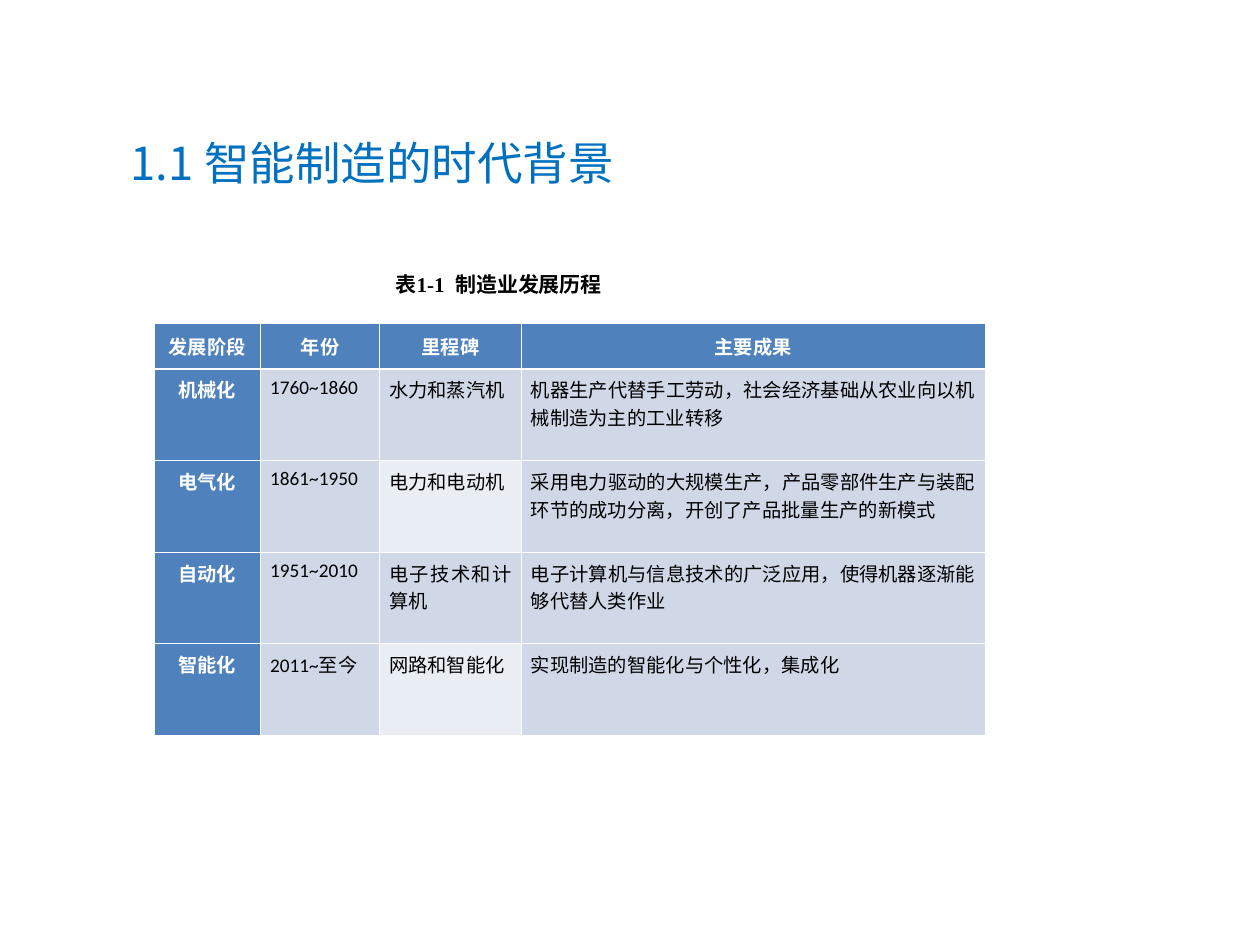
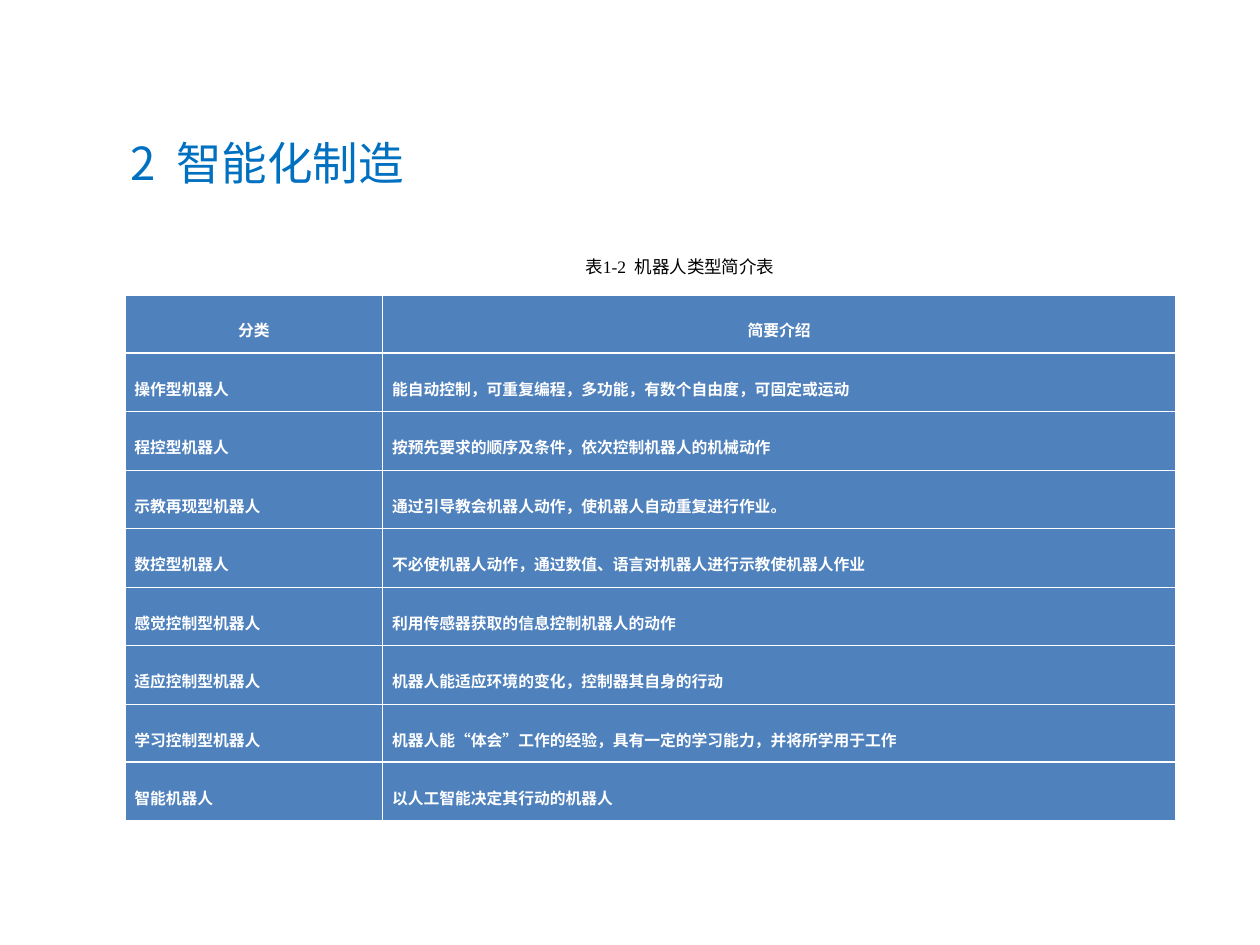
from dataclasses import dataclass
from lxml.etree import SubElement
from pptx import Presentation
from pptx.dml.color import RGBColor
from pptx.enum.text import MSO_ANCHOR, MSO_AUTO_SIZE, PP_ALIGN
from pptx.oxml.ns import qn
from pptx.util import Pt


# Colours, fonts and type sizes
@dataclass(frozen=True)
class Theme:
    title: str = "0070C0"
    head: str = "4F81BD"
    band: str = "D0D8E8"
    pale: str = "E9EDF4"
    white: str = "FFFFFF"
    black: str = "000000"
    asian: str = "Noto Sans CJK SC"
    body: str = "Calibri"
    serif: str = "Times New Roman"
    title_size: float = 26
    stage_size: float = 11
    robot_size: float = 9
    stage_label: float = 12
    robot_label: float = 10
    thin: float = 0.45
    thick: float = 1.47


class Deck:
    def __init__(self, theme):
        self.theme = theme
        self.file = Presentation()
        self.file.slide_width, self.file.slide_height = Pt(720), Pt(540)
        self.slide = None

    def put(self, frame, text, face, size, color, bold=False,
            align=PP_ALIGN.LEFT, pitch=None):
        para = frame.paragraphs[0]
        para.text = text
        para.alignment = align
        if pitch:
            para.line_spacing = Pt(pitch)
        font = para.font
        font.name, font.size, font.bold = face, Pt(size), bold
        font.color.rgb = RGBColor.from_string(color)
        props = para._p.get_or_add_pPr().get_or_add_defRPr()
        SubElement(props, qn("a:ea"), typeface=self.theme.asian)

    def page(self, text):
        self.slide = self.file.slides.add_slide(self.file.slide_layouts[5])
        title = self.slide.shapes.title
        title.left, title.top = Pt(67.5), Pt(62)
        title.width, title.height = Pt(585), Pt(61)
        frame = title.text_frame
        frame.auto_size = MSO_AUTO_SIZE.NONE
        frame.vertical_anchor = MSO_ANCHOR.MIDDLE
        self.put(frame, text, self.theme.asian, self.theme.title_size,
                 self.theme.title)

    def label(self, text, box, size, bold=False, align=PP_ALIGN.LEFT,
              wrap=True):
        frame = self.slide.shapes.add_textbox(*map(Pt, box)).text_frame
        frame.word_wrap = wrap
        frame.auto_size = MSO_AUTO_SIZE.SHAPE_TO_FIT_TEXT
        frame.vertical_anchor = MSO_ANCHOR.MIDDLE
        self.put(frame, text, self.theme.serif, size, self.theme.black,
                 bold, align)

    def edge(self, cell, above, below):
        props = cell._tc.get_or_add_tcPr()
        thin = self.theme.thin
        sides = {"lnL": thin, "lnR": thin, "lnT": above, "lnB": below}
        for side, width in sides.items():
            line = SubElement(props, qn(f"a:{side}"), w=str(Pt(width)))
            fill = SubElement(line, qn("a:solidFill"))
            SubElement(fill, qn("a:srgbClr"), val=self.theme.white)

    def table(self, rows, spot, widths, heights, size, look, heavy,
              pitch=None):
        """look(row, col) gives fill, align and anchor; heavy rows end thick."""
        grid = self.slide.shapes.add_table(
            len(rows), len(widths), *map(Pt, spot),
            Pt(sum(widths)), Pt(sum(heights))).table
        for col, width in zip(grid.columns, widths):
            col.width = Pt(width)
        for r, (line, height) in enumerate(zip(rows, heights)):
            grid.rows[r].height = Pt(height)
            above, below = (self.theme.thick if n in heavy else self.theme.thin
                            for n in (r - 1, r))
            for c, text in enumerate(line):
                cell = grid.cell(r, c)
                color, align, anchor = look(r, c)
                cell.margin_left = cell.margin_right = Pt(5.4)
                cell.margin_top = cell.margin_bottom = Pt(3.6)
                cell.vertical_anchor = anchor
                self.edge(cell, above, below)
                cell.fill.solid()
                cell.fill.fore_color.rgb = RGBColor.from_string(color)
                dark = color == self.theme.head
                ink = self.theme.white if dark else self.theme.black
                self.put(cell.text_frame, text, self.theme.body, size, ink,
                         dark, align, pitch)


STAGES = [
    ("发展阶段", "年份", "里程碑", "主要成果"),
    ("机械化", "1760~1860", "水力和蒸汽机",
     "机器生产代替手工劳动，社会经济基础从农业向以机械制造为主的工业转移"),
    ("电气化", "1861~1950", "电力和电动机",
     "采用电力驱动的大规模生产，产品零部件生产与装配环节的成功分离，开创了产品批量生产的新模式"),
    ("自动化", "1951~2010", "电子技术和计算机",
     "电子计算机与信息技术的广泛应用，使得机器逐渐能够代替人类作业"),
    ("智能化", "2011~至今", "网路和智能化", "实现制造的智能化与个性化，集成化"),
]

ROBOTS = [
    ("分类", "简要介绍"),
    ("操作型机器人", "能自动控制，可重复编程，多功能，有数个自由度，可固定或运动"),
    ("程控型机器人", "按预先要求的顺序及条件，依次控制机器人的机械动作"),
    ("示教再现型机器人", "通过引导教会机器人动作，使机器人自动重复进行作业。"),
    ("数控型机器人", "不必使机器人动作，通过数值、语言对机器人进行示教使机器人作业"),
    ("感觉控制型机器人", "利用传感器获取的信息控制机器人的动作"),
    ("适应控制型机器人", "机器人能适应环境的变化，控制器其自身的行动"),
    ("学习控制型机器人", "机器人能“体会”工作的经验，具有一定的学习能力，并将所学用于工作"),
    ("智能机器人", "以人工智能决定其行动的机器人"),
]


def main():
    theme = Theme()
    deck = Deck(theme)

    # Stages of manufacturing
    def stage(row, col):
        if row == 0:
            return theme.head, PP_ALIGN.CENTER, MSO_ANCHOR.MIDDLE
        if col == 0:
            return theme.head, PP_ALIGN.CENTER, MSO_ANCHOR.TOP
        pale = col == 2 and row % 2 == 0
        return (theme.pale if pale else theme.band, PP_ALIGN.JUSTIFY,
                MSO_ANCHOR.TOP)

    deck.page("1.1 智能制造的时代背景")
    deck.table(STAGES, (88, 185), (61, 68, 81, 265), [26] + [52.3] * 4,
               theme.stage_size, stage, heavy={0})
    deck.label("表1-1  制造业发展历程", (219, 151.5, 138, 21.6),
               theme.stage_label, bold=True, wrap=False)

    # Types of robot
    def robot(row, col):
        align = PP_ALIGN.JUSTIFY if row else PP_ALIGN.CENTER
        return theme.head, align, MSO_ANCHOR.MIDDLE

    deck.page("2  智能化制造")
    deck.table(ROBOTS, (71.4, 168.5), (147.3, 453), [33.4] * len(ROBOTS),
               theme.robot_size, robot, heavy={0, 7}, pitch=20)
    deck.label("表1-2  机器人类型简介表", (93.6, 142.4, 589.7, 19.4),
               theme.robot_label, align=PP_ALIGN.CENTER)

    deck.file.save("out.pptx")


if __name__ == "__main__":
    main()
